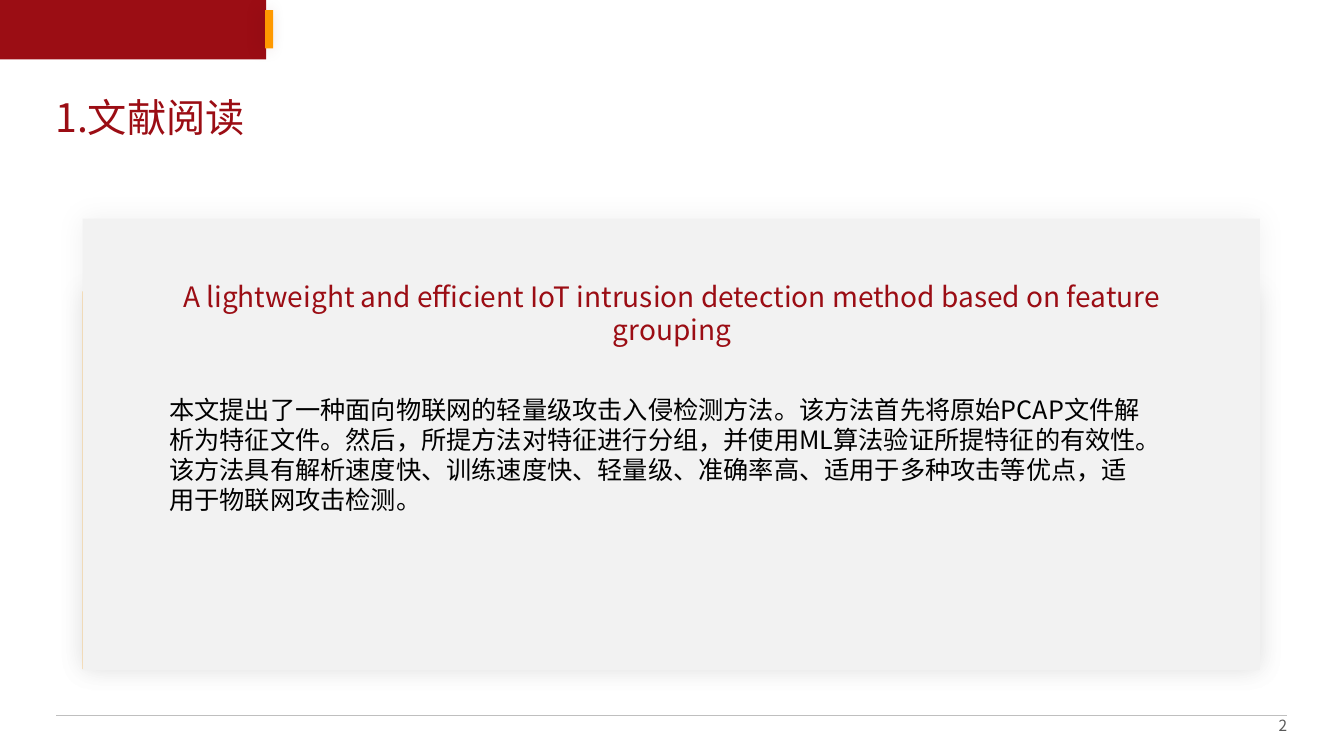
import pptx
import pptx.dml.color
import pptx.enum.shapes
import pptx.enum.text
import pptx.oxml
import pptx.oxml.ns
import pptx.util
from dataclasses import dataclass

Inches, Pt = pptx.util.Inches, pptx.util.Pt
Align, Anchor = pptx.enum.text.PP_ALIGN, pptx.enum.text.MSO_ANCHOR
NAMESPACE = pptx.oxml.ns.nsdecls("a")


@dataclass(frozen=True)
class Theme:
    font: str = "Noto Sans CJK SC"
    red: str = "9B0D14"
    dark_red: str = "60080C"
    orange: str = "FF9900"
    panel: str = "F2F2F2"
    rule: str = "BFBFBF"
    muted: str = "595959"
    black: str = "000000"
    title_size: int = 28
    heading_size: int = 20
    body_size: int = 18
    number_size: int = 11


def color(value):
    return pptx.dml.color.RGBColor.from_string(value)


def apply_format(target, values):
    for name, value in values.items():
        setattr(target, name, value)


class SlideBuilder:
    """Draws themed elements at positions given in percent of the slide's size."""

    def __init__(self, presentation, theme):
        self.presentation = presentation
        self.theme = theme
        self.slide = presentation.slides.add_slide(presentation.slide_layouts[6])

    def place(self, *shares):
        sides = (self.presentation.slide_width, self.presentation.slide_height) * 2
        return [round(share * side / 100) for share, side in zip(shares, sides)]

    def rectangle(self, area, fill, shadow=None):
        kind = pptx.enum.shapes.MSO_SHAPE.RECTANGLE
        shape = self.slide.shapes.add_shape(kind, *self.place(*area))
        shape.fill.solid()
        shape.fill.fore_color.rgb = color(fill)
        shape.line.fill.background()
        shape.shadow.inherit = False
        if shadow:
            tint, opacity, blur, distance, angle = shadow
            effects = shape._element.spPr.find(pptx.oxml.ns.qn("a:effectLst"))
            effects.append(pptx.oxml.parse_xml(
                f'<a:outerShdw {NAMESPACE} blurRad="{Pt(blur)}" dist="{Pt(distance)}" '
                f'dir="{angle * 60000}" algn="ctr" rotWithShape="0"><a:srgbClr val="{tint}">'
                f'<a:alpha val="{opacity * 1000}"/></a:srgbClr></a:outerShdw>'))

    def line(self, start, end, stroke, width):
        kind = pptx.enum.shapes.MSO_CONNECTOR.STRAIGHT
        connector = self.slide.shapes.add_connector(kind, *self.place(*start, *end))
        connector.line.color.rgb = color(stroke)
        connector.line.width = Pt(width)
        connector._element.spPr.append(pptx.oxml.parse_xml(f"<a:effectLst {NAMESPACE}/>"))

    def text(self, area, words, size, ink, align=Align.LEFT, frame_format=None, spacing=0):
        frame = self.slide.shapes.add_textbox(*self.place(*area)).text_frame
        apply_format(frame, {"word_wrap": True, **(frame_format or {})})
        paragraph = frame.paragraphs[0]
        paragraph.alignment = align
        run = paragraph.add_run()
        run.text = words
        apply_format(run.font, {"name": self.theme.font, "size": Pt(size)})
        run.font.color.rgb = color(ink)
        properties = run._r.get_or_add_rPr()
        properties.append(pptx.oxml.parse_xml(
            f'<a:ea {NAMESPACE} typeface="{self.theme.font}"/>'))
        if spacing:
            properties.set("spc", str(round(spacing * 100)))


def main():
    presentation = pptx.Presentation()
    apply_format(presentation, {"slide_width": Inches(13.33), "slide_height": Inches(7.5)})
    theme = Theme()
    builder = SlideBuilder(presentation, theme)
    grow = {"auto_size": pptx.enum.text.MSO_AUTO_SIZE.SHAPE_TO_FIT_TEXT}

    builder.rectangle((0, 0, 19.8, 7.87), theme.red)
    builder.rectangle((19.73, 1.33, 0.6, 5.07), theme.orange, (theme.dark_red, 20, 12, 3, 180))
    builder.line((4.2, 94.67), (95.78, 94.67), theme.rule, 0.5)
    builder.rectangle((6.15, 38.53, 87.6, 50), theme.orange, (theme.black, 8, 18, 0, 0))
    builder.rectangle((6.15, 28.93, 87.6, 59.73), theme.panel, (theme.black, 6, 20, 0, 0))

    builder.text((88.28, 93.87, 7.5, 4.27), "2", theme.number_size, theme.muted, Align.RIGHT,
                 {"vertical_anchor": Anchor.MIDDLE, "margin_right": 0}, spacing=0.9)
    builder.text((3.38, 11.73, 15.75, 7.6), "1.文献阅读", theme.title_size, theme.red,
                 frame_format=grow)
    builder.text((10.13, 36.27, 79.73, 10.27),
                 "A lightweight and efficient IoT intrusion detection method "
                 "based on feature grouping",
                 theme.heading_size, theme.red, Align.CENTER, grow)
    builder.text((11.85, 51.47, 74.03, 17.47),
                 "本文提出了一种面向物联网的轻量级攻击入侵检测方法。"
                 "该方法首先将原始PCAP文件解析为特征文件。"
                 "然后，所提方法对特征进行分组，并使用ML算法验证所提特征的有效性。"
                 "该方法具有解析速度快、训练速度快、轻量级、准确率高、"
                 "适用于多种攻击等优点，适用于物联网攻击检测。",
                 theme.body_size, theme.black, frame_format=grow)
    presentation.save("out.pptx")


if __name__ == "__main__":
    main()
